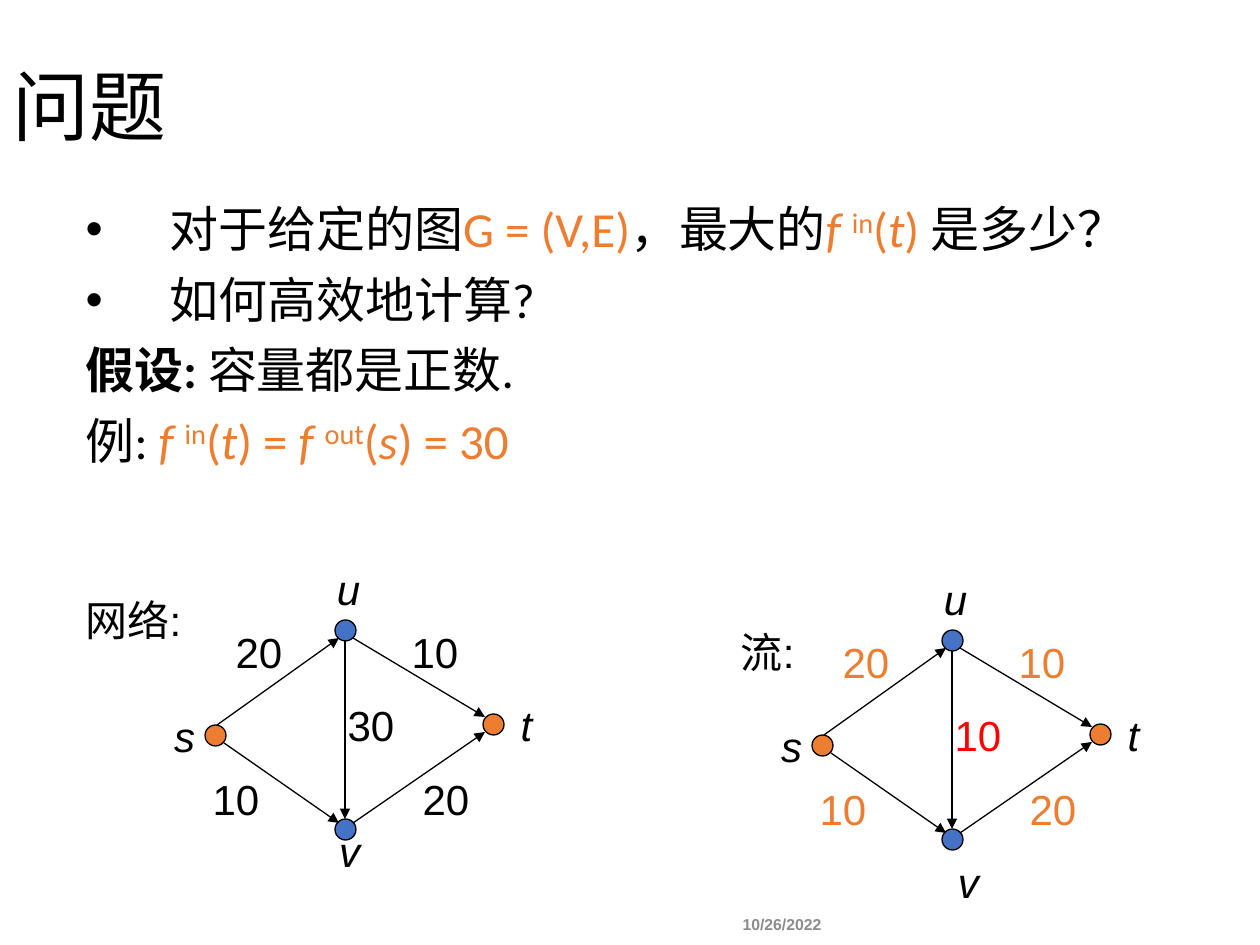
from dataclasses import dataclass
from typing import NamedTuple

import lxml.etree
import pptx
import pptx.dml.color
import pptx.enum.shapes
import pptx.enum.text
import pptx.oxml.ns
import pptx.util

PX_PER_INCH = 126
NODE_SIZE = 21
LABEL_HEIGHT = 63
INDENT = 84


@dataclass(frozen=True)
class Theme:
    black: str = "000000"
    orange: str = "ED7D31"
    blue: str = "4472C4"
    red: str = "FF0000"
    grey: str = "8C8C8C"
    heading_font: str = "Calibri"
    label_font: str = "Arial"
    title_size: int = 44
    body_size: int = 28
    label_size: int = 24
    date_size: int = 9
    line_width: float = 0.75


THEME = Theme()


class Span(NamedTuple):
    text: str
    color: str = THEME.black
    bold: bool = False
    italic: bool = False
    raised: bool = False


class Node(NamedTuple):
    left: int
    top: int
    color: str


class Edge(NamedTuple):
    x1: int
    y1: int
    x2: int
    y2: int


class Label(NamedTuple):
    left: int
    top: int
    width: int
    span: Span


class Graph(NamedTuple):
    dx: int
    dy: int
    weights: tuple[Span, ...]
    v_label: tuple[int, int]
    caption: Label


def math(text: str, italic: bool = False, raised: bool = False) -> Span:
    return Span(text, THEME.orange, italic=italic, raised=raised)


def flow_at(direction: str, node: str, ending: str) -> list[Span]:
    """Spans for f with a raised direction, applied to a node."""
    return [math("f ", italic=True), math(direction, raised=True), math("("),
            math(node, italic=True), math(ending)]


BODY = (
    (True, [Span("对于给定的图"), math("G = (V,E)"), Span("，最大的"),
            *flow_at("in", "t", ") "), Span("是多少？")]),
    (True, [Span("如何高效地计算?")]),
    (False, [Span("假设: ", bold=True), Span("容量都是正数.")]),
    (False, [Span("例: "), *flow_at("in", "t", ") = "), *flow_at("out", "s", ") = 30")]),
)

NODES = (
    Node(205, 725, THEME.orange),
    Node(335, 620, THEME.blue),
    Node(483, 714, THEME.orange),
    Node(335, 819, THEME.blue),
)
EDGES = (
    Edge(353, 638, 485, 717),
    Edge(217, 725, 339, 638),
    Edge(224, 743, 339, 823),
    Edge(353, 823, 485, 732),
    Edge(345, 641, 345, 819),
)
NODE_NAMES = (
    Label(508, 693, 37, Span("t", italic=True)),
    Label(161, 704, 47, Span("s", italic=True)),
    Label(324, 557, 49, Span("u", italic=True)),
)
WEIGHT_PLACES = ((223, 620), (399, 620), (335, 693), (200, 767), (410, 767))

GRAPHS = (
    Graph(0, 0, tuple(Span(text) for text in ("20", "10", "30", "10", "20")),
          (326, 819), Label(73, 588, 121, Span("网络:"))),
    Graph(607, 10, (math("20"), math("10"), Span("10", THEME.red), math("10"), math("20")),
          (338, 840), Label(724, 620, 76, Span("流:"))),
)


def px(length: int) -> pptx.util.Emu:
    return pptx.util.Emu(round(length * 914400 / PX_PER_INCH))


def rgb(color: str) -> pptx.dml.color.RGBColor:
    return pptx.dml.color.RGBColor.from_string(color)


def add_span(para, span: Span, font: str, size: int) -> None:
    run = para.add_run()
    run.text = span.text
    run.font.name = font
    run.font.size = pptx.util.Pt(size)
    run.font.bold = span.bold
    run.font.italic = span.italic
    run.font.color.rgb = rgb(span.color)
    if span.raised:
        run.font._element.set("baseline", "30000")


def place(shape, left: int, top: int, width: int, height: int) -> None:
    shape.left, shape.top = px(left), px(top)
    shape.width, shape.height = px(width), px(height)


def fill_title(title) -> None:
    place(title, 0, 32, 1155, 157)
    title.text_frame.vertical_anchor = pptx.enum.text.MSO_ANCHOR.MIDDLE
    para = title.text_frame.paragraphs[0]
    para.alignment = pptx.enum.text.PP_ALIGN.LEFT
    para.line_spacing = 0.9
    add_span(para, Span("问题"), THEME.heading_font, THEME.title_size)


def fill_body(body) -> None:
    place(body, 73, 199, 1187, 494)
    frame = body.text_frame
    for index, (bulleted, spans) in enumerate(BODY):
        para = frame.add_paragraph() if index else frame.paragraphs[0]
        para.line_spacing = 0.9
        para.space_before = pptx.util.Pt(10)
        props = para._p.get_or_add_pPr()
        props.set("marL", str(px(INDENT)))
        props.set("indent", str(-px(INDENT)))
        tag = "a:buChar" if bulleted else "a:buNone"
        bullet = lxml.etree.SubElement(props, pptx.oxml.ns.qn(tag))
        if bulleted:
            bullet.set("char", "•")
        for span in spans:
            add_span(para, span, THEME.heading_font, THEME.body_size)


def add_label(slide, label: Label, height: int = LABEL_HEIGHT,
              size: int = THEME.label_size, wrap: bool = False) -> None:
    box = slide.shapes.add_textbox(px(label.left), px(label.top), px(label.width), px(height))
    frame = box.text_frame
    frame.word_wrap = wrap
    frame.vertical_anchor = pptx.enum.text.MSO_ANCHOR.MIDDLE
    para = frame.paragraphs[0]
    para.alignment = pptx.enum.text.PP_ALIGN.CENTER
    add_span(para, label.span, THEME.label_font, size)


def add_node(slide, node: Node, dx: int, dy: int) -> None:
    dot = slide.shapes.add_shape(pptx.enum.shapes.MSO_SHAPE.OVAL, px(node.left + dx),
                                 px(node.top + dy), px(NODE_SIZE), px(NODE_SIZE))
    dot.shadow.inherit = False
    dot.fill.solid()
    dot.fill.fore_color.rgb = rgb(node.color)
    dot.line.color.rgb = rgb(THEME.black)
    dot.line.width = pptx.util.Pt(THEME.line_width)


def add_arrow(slide, edge: Edge, dx: int, dy: int) -> None:
    arrow = slide.shapes.add_connector(
        pptx.enum.shapes.MSO_CONNECTOR.STRAIGHT, px(edge.x1 + dx), px(edge.y1 + dy),
        px(edge.x2 + dx), px(edge.y2 + dy))
    arrow.line.color.rgb = rgb(THEME.black)
    arrow.line.width = pptx.util.Pt(THEME.line_width)
    tail = lxml.etree.SubElement(arrow.line._get_or_add_ln(), pptx.oxml.ns.qn("a:tailEnd"))
    tail.set("type", "triangle")
    lxml.etree.SubElement(arrow._element.spPr, pptx.oxml.ns.qn("a:effectLst"))


def add_graph(slide, graph: Graph) -> None:
    for node in NODES:
        add_node(slide, node, graph.dx, graph.dy)
    for edge in EDGES:
        add_arrow(slide, edge, graph.dx, graph.dy)
    weights = [Label(left, top, 72, span)
               for (left, top), span in zip(WEIGHT_PLACES, graph.weights)]
    v_name = Label(*graph.v_label, 47, Span("v", italic=True))
    for label in (*NODE_NAMES, v_name, *weights):
        add_label(slide, label._replace(left=label.left + graph.dx, top=label.top + graph.dy))
    add_label(slide, graph.caption, wrap=True)


def main() -> None:
    deck = pptx.Presentation()
    deck.slide_width, deck.slide_height = px(1260), px(945)
    page = deck.slides.add_slide(deck.slide_layouts[1])
    fill_title(page.shapes.title)
    fill_body(page.placeholders[1])
    for graph in GRAPHS:
        add_graph(page, graph)
    date = Label(692, 903, 180, Span("10/26/2022", THEME.grey, bold=True))
    add_label(page, date, height=42, size=THEME.date_size)
    deck.save("out.pptx")


if __name__ == "__main__":
    main()
